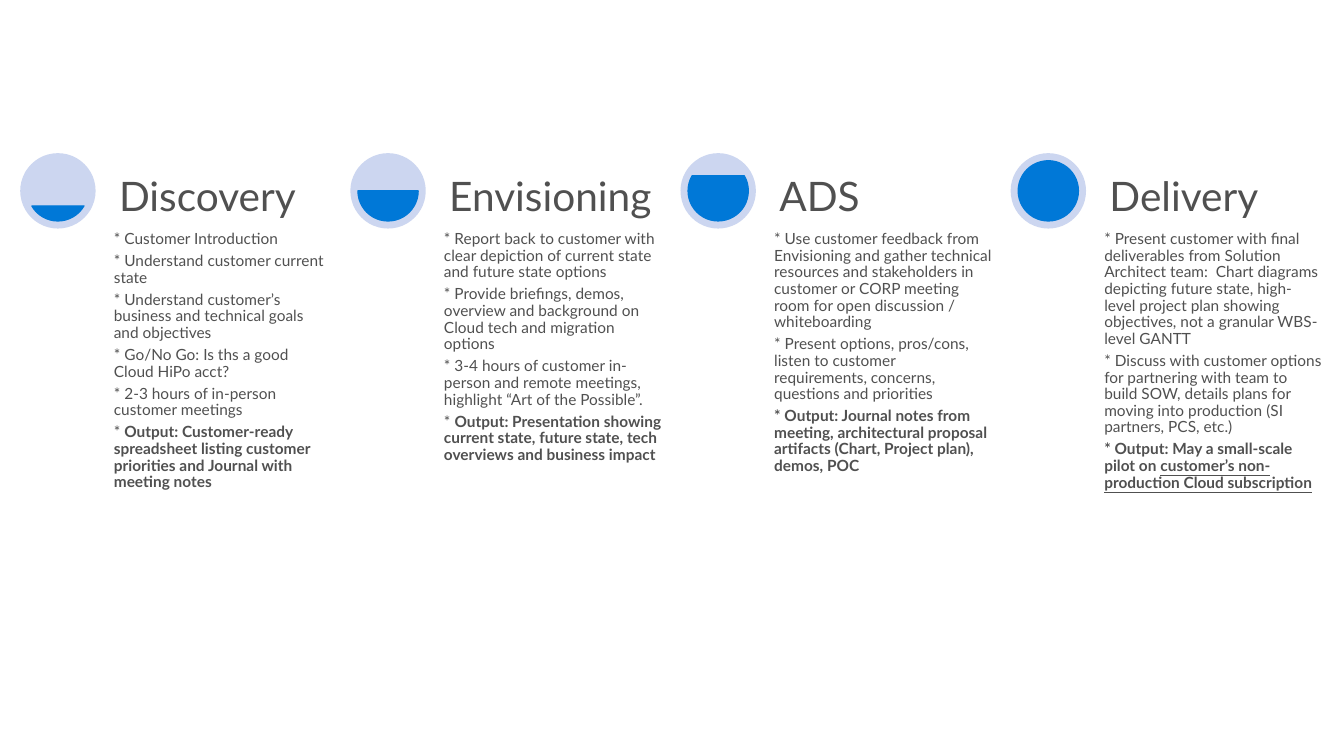
from pptx import Presentation
from pptx.dml.color import RGBColor
from pptx.enum.shapes import MSO_SHAPE as Shape
from pptx.enum.text import MSO_ANCHOR as Anchor
from pptx.util import Cm, Pt

GREY = RGBColor(0x50, 0x50, 0x50)
PALE = RGBColor(0xCC, 0xD6, 0xF0)
BLUE = RGBColor(0x00, 0x78, 0xD7)

TOP, LEFT, PITCH = 3.86, 0.51, 8.32
DIAL, RIM = 1.9, 0.19
TEXT_OFFSET, TEXT_WIDTH, BODY_HEIGHT = 2.29, 5.64, 8

STAGES = [
    ("Discovery", (30, 150), [
        ["* Customer Introduction"],
        ["* Understand customer current state"],
        ["* Understand customer’s business and technical goals and objectives"],
        ["* Go/No Go: Is ths a good Cloud HiPo acct?"],
        ["* 2-3 hours of in-person customer meetings"],
        ["* ", ("Output: Customer-ready spreadsheet listing customer priorities "
                "and shared with meeting notes", "b")],
    ]),
    ("Envisioning", (0, 180), [
        ["* Report back to customer with clear depiction of current state "
         "and future state options"],
        ["* Provide briefings, demos, overview and background on Cloud tech "
         "and migration options"],
        ["* 3-4 hours of customer in-person and remote meetings, "
         "highlight “Art of the Possible”."],
        ["* ", ("Output: Presentation showing current state, future state, "
                "tech overviews and business impact", "b")],
    ]),
    ("ADS", (330, 210), [
        ["* Use customer feedback from Envisioning and gather technical resources "
         "and stakeholders in customer or CORP meeting room for open "
         "discussion / whiteboarding"],
        ["* Present options, pros/cons, listen to customer requirements, "
         "concerns, questions and priorities"],
        [("* Output: Journal notes from meeting, architectural proposal "
          "artifacts (Chart, Project plan), demos, POC", "b")],
    ]),
    ("Delivery", (270, 270), [
        ["* Present customer with final deliverables from Solution Architect team:  "
         "Chart diagrams depicting future state, high-level project plan showing "
         "objectives, not a granular WBS-level GANTT"],
        ["* Discuss with customer options for partnering with team to build SOW, "
         "details plans for moving into production (SI partners, PCS, etc.)"],
        [("* Output: May a small-scale pilot on ", "b"),
         ("customer’s non-production Cloud subscription", "bu")],
    ]),
]
STAGES[0][2][-1][1] = ("Output: Customer-ready spreadsheet listing customer priorities "
                       "and Journal with meeting notes", "b")


class Painter:
    """Draws dials and text on one page in a shared style."""

    def __init__(self, page, font="Lato", color=GREY):
        self.shapes = page.shapes
        self.font = font
        self.color = color

    def disc(self, kind, left, top, size, color):
        """Add a round filled shape without a line."""
        disc = self.shapes.add_shape(kind, Cm(left), Cm(top), Cm(size), Cm(size))
        disc.shadow.inherit = False
        disc.fill.solid()
        disc.fill.fore_color.rgb = color
        disc.line.fill.background()
        return disc

    def dial(self, left, top, angles):
        """Add a pale disc filled up to the chord between two angles."""
        self.disc(Shape.OVAL, left, top, DIAL, PALE)
        level = self.disc(Shape.CHORD, left + RIM, top + RIM, DIAL - 2 * RIM, BLUE)
        for index, angle in enumerate(angles):
            level.adjustments[index] = angle * 0.6
        level.line.color.rgb = BLUE
        level.line.width = Pt(0.85)

    def text(self, left, top, height, paragraphs, size, inset, anchor, gap=0):
        """Add a wrapped text box of plain and styled spans."""
        box = self.shapes.add_textbox(Cm(left), Cm(top), Cm(TEXT_WIDTH), Cm(height))
        frame = box.text_frame
        frame.word_wrap = True
        frame.vertical_anchor = anchor
        frame.margin_left = frame.margin_right = Cm(inset)
        frame.margin_top = frame.margin_bottom = Cm(inset)
        for index, spans in enumerate(paragraphs):
            para = frame.add_paragraph() if index else frame.paragraphs[0]
            para.line_spacing = 0.9
            para.space_after = Pt(gap)
            para.font.name = self.font
            para.font.size = Pt(size)
            para.font.color.rgb = self.color
            for item in spans:
                words, style = (item, "") if isinstance(item, str) else item
                span = para.add_run()
                span.text = words
                if "b" in style:
                    span.font.bold = True
                if "u" in style:
                    span.font.underline = True

    def stage(self, left, name, angles, points):
        """Add one stage: its dial, points and heading."""
        self.dial(left, TOP, angles)
        text_left = left + TEXT_OFFSET
        self.text(text_left, TOP + DIAL, BODY_HEIGHT, points, 11, 0.07, Anchor.TOP, 3.85)
        self.text(text_left, TOP, DIAL, [[name]], 29, 0.2, Anchor.BOTTOM)


def main():
    """Build the four-stage slide."""
    deck = Presentation()
    deck.slide_width, deck.slide_height = Cm(33.87), Cm(19.05)
    page = deck.slides.add_slide(deck.slide_layouts[6])
    painter = Painter(page)
    for column, (name, angles, points) in enumerate(STAGES):
        painter.stage(LEFT + column * PITCH, name, angles, points)
    deck.save("out.pptx")


if __name__ == "__main__":
    main()
